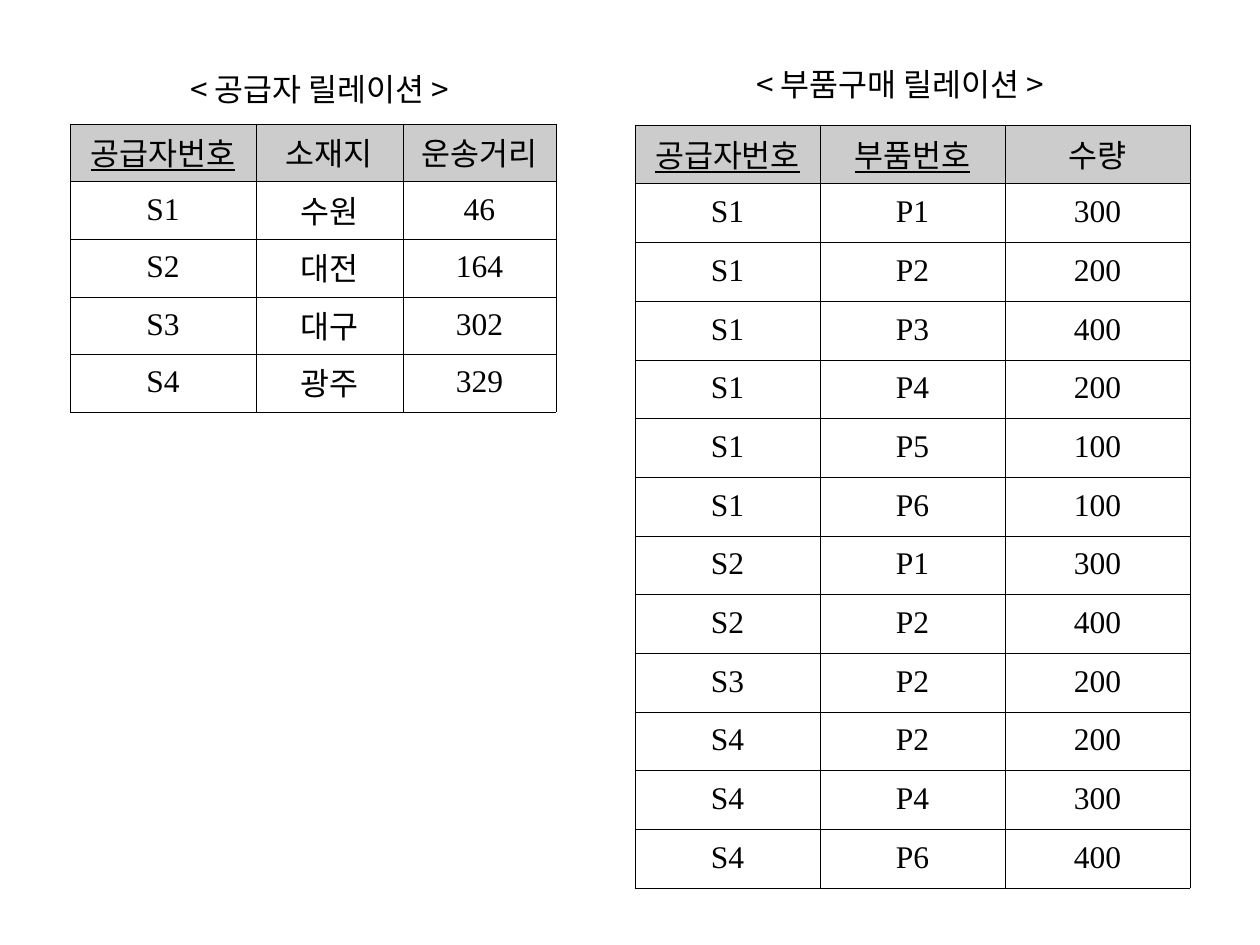
from lxml import etree
from pptx import Presentation
from pptx import util as u
from pptx.dml import color
from pptx.enum import text
from pptx.oxml import ns

SCALE = u.Inches(1) / 126
BLACK, WHITE, GREY = "000000", "FFFFFF", "CCCCCC"
HANGUL_FONT, LATIN_FONT = "Noto Sans CJK KR", "Times New Roman"

SUPPLIERS = [
    ("공급자번호", "소재지", "운송거리"),
    ("S1", "수원", "46"),
    ("S2", "대전", "164"),
    ("S3", "대구", "302"),
    ("S4", "광주", "329"),
]
PURCHASES = [
    ("공급자번호", "부품번호", "수량"),
    ("S1", "P1", "300"),
    ("S1", "P2", "200"),
    ("S1", "P3", "400"),
    ("S1", "P4", "200"),
    ("S1", "P5", "100"),
    ("S1", "P6", "100"),
    ("S2", "P1", "300"),
    ("S2", "P2", "400"),
    ("S3", "P2", "200"),
    ("S4", "P2", "200"),
    ("S4", "P4", "300"),
    ("S4", "P6", "400"),
]


def px(length):
    """Turn pixels into EMU."""
    return u.Emu(round(length * SCALE))


def paint(target, value):
    """Give a fill or a font a solid colour from a hex string."""
    if hasattr(target, "solid"):
        target.solid()
        target.fore_color.rgb = color.RGBColor.from_string(value)
    else:
        target.color.rgb = color.RGBColor.from_string(value)


def add_span(para, wording, font_name, underline=False):
    """Add one 18 pt run with its Latin and East Asian fonts."""
    span = para.add_run()
    span.text = wording
    span.font.size = u.Pt(18)
    span.font.name = font_name
    span.font.underline = underline
    paint(span.font, BLACK)
    east_asian = etree.Element(ns.qn("a:ea"), typeface=HANGUL_FONT)
    span.font._element.find(ns.qn("a:latin")).addnext(east_asian)


def add_borders(cell):
    """Draw thin black lines on all four sides of a cell."""
    properties = cell._tc.get_or_add_tcPr()
    for position, side in enumerate(("lnL", "lnR", "lnT", "lnB")):
        line = etree.Element(ns.qn(f"a:{side}"), w=str(u.Pt(0.28)))
        fill = etree.SubElement(line, ns.qn("a:solidFill"))
        etree.SubElement(fill, ns.qn("a:srgbClr"), val=BLACK)
        properties.insert(position, line)


def fill_cell(cell, wording, background, underline):
    """Write and style one table cell."""
    cell.vertical_anchor = text.MSO_ANCHOR.MIDDLE
    paint(cell.fill, background)
    add_borders(cell)
    para = cell.text_frame.paragraphs[0]
    para.alignment = text.PP_ALIGN.CENTER
    para.line_spacing = 0.93
    add_span(para, wording, LATIN_FONT, underline)


def add_caption(page, left, top, width, wording):
    """Place the one-line caption of a relation."""
    box = page.shapes.add_textbox(px(left), px(top), px(width), px(50))
    box.text_frame.word_wrap = False
    box.text_frame.auto_size = text.MSO_AUTO_SIZE.SHAPE_TO_FIT_TEXT
    add_span(box.text_frame.paragraphs[0], wording, HANGUL_FONT)


def add_relation(page, box, widths, records, key_count, caption, caption_place):
    """Place a relation table in its box, with its caption offset from the corner."""
    left, top, height = box
    shift, rise, caption_width = caption_place
    frame = page.shapes.add_table(
        len(records), len(widths), px(left), px(top), px(sum(widths)), px(height)
    )
    table = frame.table
    table.first_row = table.horz_banding = False
    for column, width in zip(table.columns, widths):
        column.width = px(width)
    for row_index, record in enumerate(records):
        table.rows[row_index].height = px(height / len(records))
        header = row_index == 0
        for column_index, wording in enumerate(record):
            fill_cell(
                table.cell(row_index, column_index),
                wording,
                GREY if header else WHITE,
                header and column_index < key_count,
            )
    add_caption(page, left + shift, top - rise, caption_width, caption)


def main():
    """Build the slide with its two relations."""
    deck = Presentation()
    deck.slide_width, deck.slide_height = px(1260), px(945)
    page = deck.slides.add_slide(deck.slide_layouts[6])
    add_relation(page, (70, 124, 288), (186, 147, 153), SUPPLIERS, 1,
                 "< 공급자 릴레이션 >", (108, 60, 306))
    add_relation(page, (635, 125, 763), (185, 185, 185), PURCHASES, 2,
                 "< 부품구매 릴레이션 >", (109, 66, 334))
    deck.save("out.pptx")


if __name__ == "__main__":
    main()
